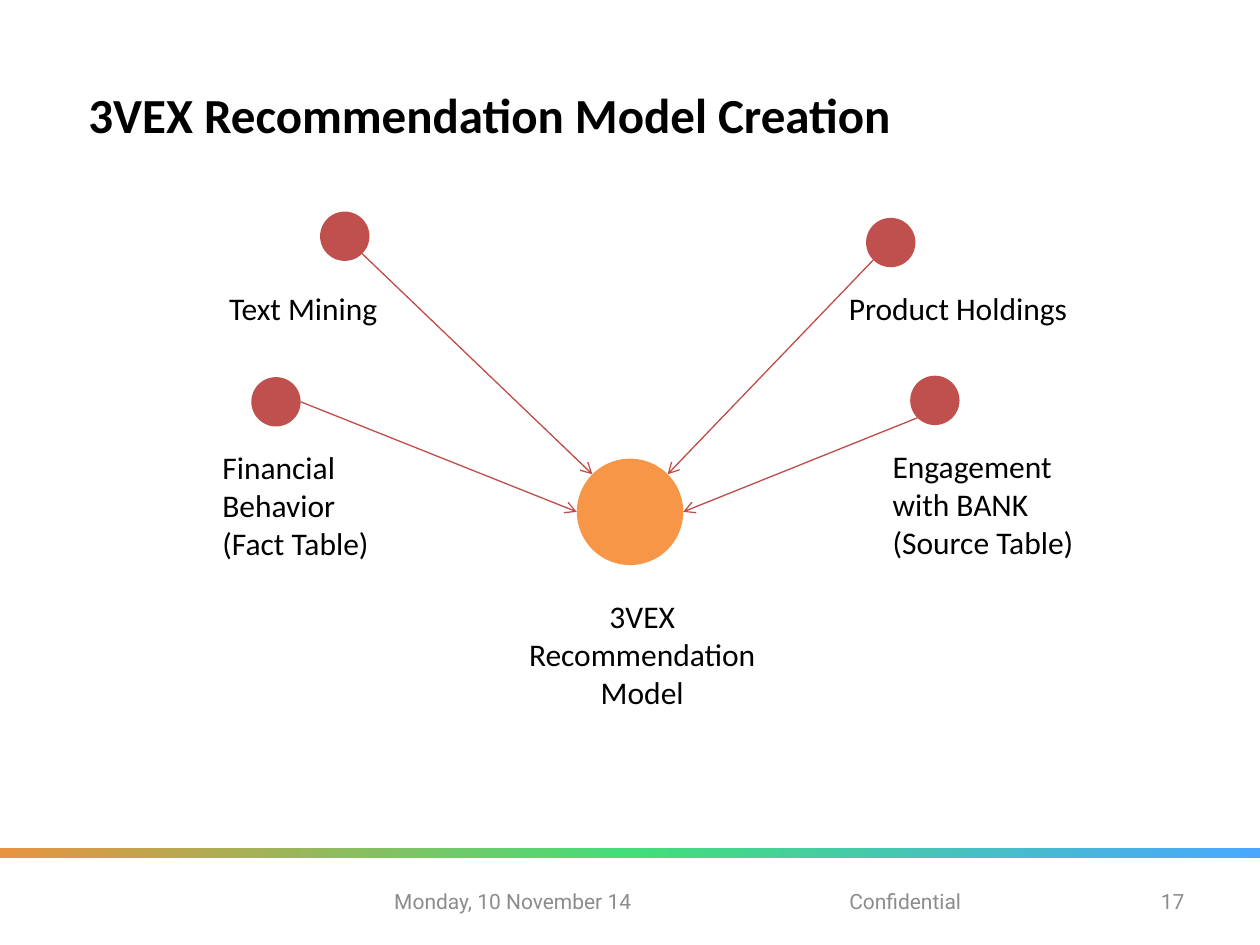
from copy import deepcopy
from dataclasses import dataclass
from math import cos, radians, sin

from pptx import Presentation
from pptx.dml.color import RGBColor
from pptx.enum.shapes import MSO_CONNECTOR as Connector, MSO_SHAPE as Preset
from pptx.enum.text import MSO_ANCHOR as Anchor, PP_ALIGN as Align
from pptx.oxml.ns import qn
from pptx.util import Pt

BLACK, GREY = "000000", "8C8C8C"
RED, ORANGE, LINE_RED = "C0504D", "F79646", "BF4C48"


@dataclass
class Circle:
    x: float
    y: float
    radius: float = 14.1
    color: str = RED

    def rim(self, angle: float) -> tuple[float, float]:
        """Point on the outline, in degrees clockwise from the right."""
        turn = radians(angle)
        return self.x + self.radius * cos(turn), self.y + self.radius * sin(turn)


@dataclass
class Source:
    circle: Circle
    exit_angle: float
    hub_angle: float
    label: list[str]
    label_box: tuple[float, float, float, float]


HUB = Circle(360, 292.5, 30.4, ORANGE)
SOURCES = [
    Source(Circle(197, 135), 45, 225, ["Text Mining"], (123.8, 161.5, 118, 29)),
    Source(Circle(509, 138.6), 135, 315, ["Product Holdings"], (478, 161.5, 161, 29)),
    Source(Circle(534.2, 228.8), 135, 0,
           ["Engagement with BANK", "(Source Table)"], (503, 252, 136, 72.7)),
    Source(Circle(157.7, 229.6), 0, 180,
           ["Financial Behavior", "(Fact Table)"], (120, 252.7, 109.4, 72.7)),
]
FOOTERS = [
    ("Monday, 10 November 14", (218.2, 500.4, 167.8, 28.8), Align.LEFT),
    ("Confidential", (403.2, 500.4, 228.2, 28.8), Align.CENTER),
    ("17", (648, 500.4, 36, 28.8), Align.RIGHT),
]


def rgb(color: str) -> RGBColor:
    return RGBColor.from_string(color)


def add_text(page, lines: list[str], bounds: tuple, *, size: float = 18,
             font: str = "Calibri", color: str = BLACK, bold: bool = False,
             align: Align = Align.LEFT, anchor: Anchor = Anchor.TOP) -> None:
    frame = page.shapes.add_textbox(*map(Pt, bounds)).text_frame
    frame.word_wrap = True
    frame.vertical_anchor = anchor
    for number, line in enumerate(lines):
        para = frame.add_paragraph() if number else frame.paragraphs[0]
        para.alignment = align
        span = para.add_run()
        span.text = line
        span.font.size = Pt(size)
        span.font.name = font
        span.font.bold = bold
        span.font.color.rgb = rgb(color)


def add_circle(page, circle: Circle) -> None:
    side = Pt(2 * circle.radius)
    shape = page.shapes.add_shape(Preset.OVAL, Pt(circle.x - circle.radius),
                                  Pt(circle.y - circle.radius), side, side)
    shape.shadow.inherit = False
    shape.fill.solid()
    shape.fill.fore_color.rgb = rgb(circle.color)
    shape.line.fill.background()


def add_arrow(page, start: tuple[float, float], end: tuple[float, float]) -> None:
    arrow = page.shapes.add_connector(Connector.STRAIGHT, *map(Pt, start + end))
    arrow.line.color.rgb = rgb(LINE_RED)
    arrow.line.width = Pt(0.75)
    outline = arrow.line._get_or_add_ln()
    outline.append(outline.makeelement(qn("a:tailEnd"), {"type": "arrow"}))
    properties = arrow._element.spPr
    properties.append(properties.makeelement(qn("a:effectLst"), {}))


def add_gradient_bar(page, bounds: tuple, colors: list[str]) -> None:
    bar = page.shapes.add_shape(Preset.RECTANGLE, *map(Pt, bounds))
    bar.shadow.inherit = False
    bar.line.fill.background()
    bar.fill.gradient()
    bar.fill.gradient_angle = 0
    stops = bar._element.spPr.find(".//" + qn("a:gsLst"))
    while len(stops) < len(colors):
        stops.append(deepcopy(stops[0]))
    for number, (stop, color) in enumerate(zip(bar.fill.gradient_stops, colors)):
        stop.position = number / (len(colors) - 1)
        stop.color.rgb = rgb(color)


def main() -> None:
    deck = Presentation()
    deck.slide_width, deck.slide_height = Pt(720), Pt(540)
    page = deck.slides.add_slide(deck.slide_layouts[6])

    add_gradient_bar(page, (0, 484.6, 720, 5.8), ["E8933F", "43DE79", "49A7FF"])
    for text, bounds, align in FOOTERS:
        add_text(page, [text], bounds, size=12, font="Roboto", color=GREY,
                 align=align, anchor=Anchor.MIDDLE)
    add_text(page, ["3VEX Recommendation Model Creation"], (43.5, 20.2, 648, 90),
             size=28, bold=True, anchor=Anchor.MIDDLE)

    for source in SOURCES:
        add_circle(page, source.circle)
        add_text(page, source.label, source.label_box)
        add_arrow(page, source.circle.rim(source.exit_angle), HUB.rim(source.hub_angle))
    add_circle(page, HUB)
    add_text(page, ["3VEX Recommendation Model"], (293.2, 337.7, 147.6, 72.7),
             align=Align.CENTER)

    deck.save("out.pptx")


if __name__ == "__main__":
    main()
